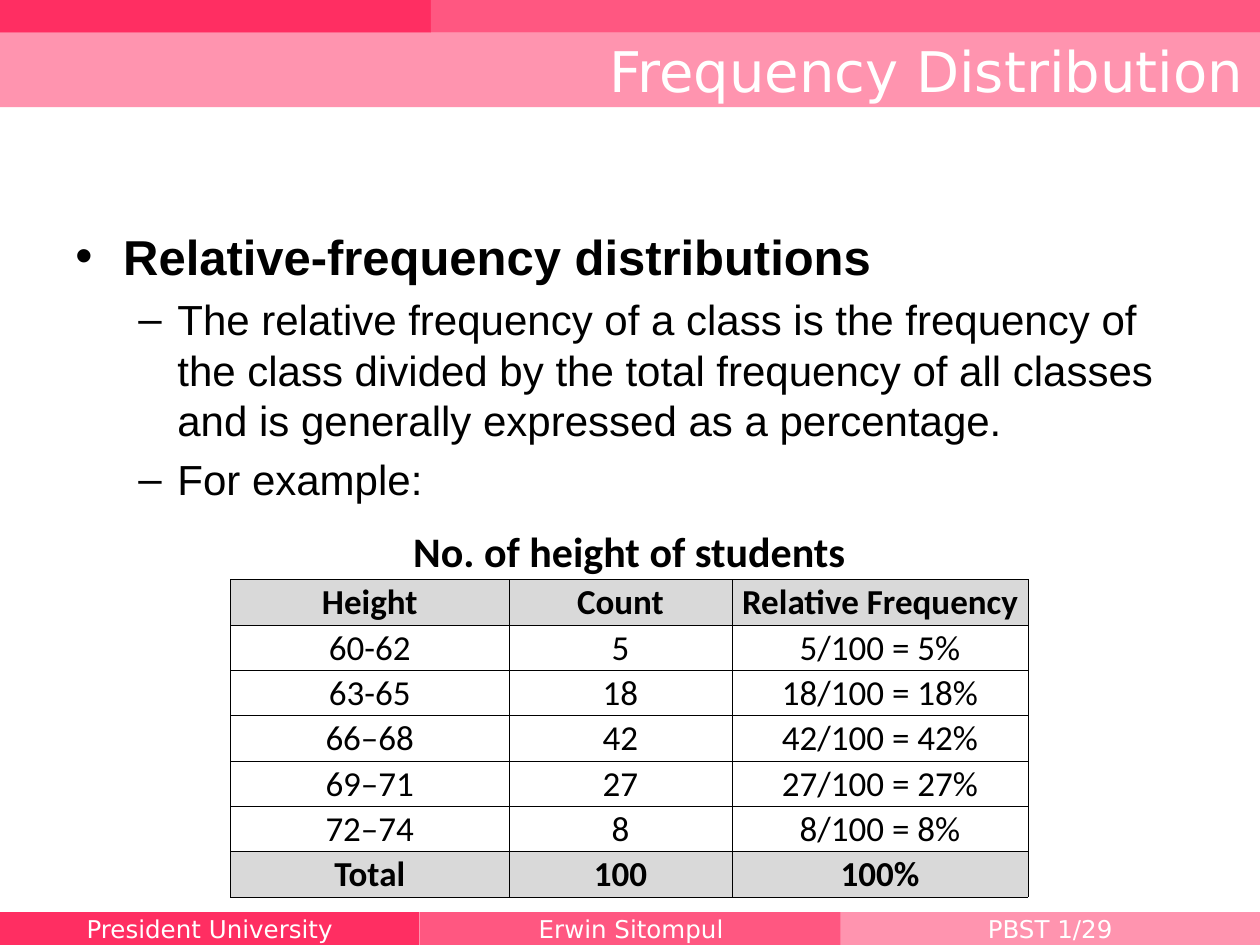
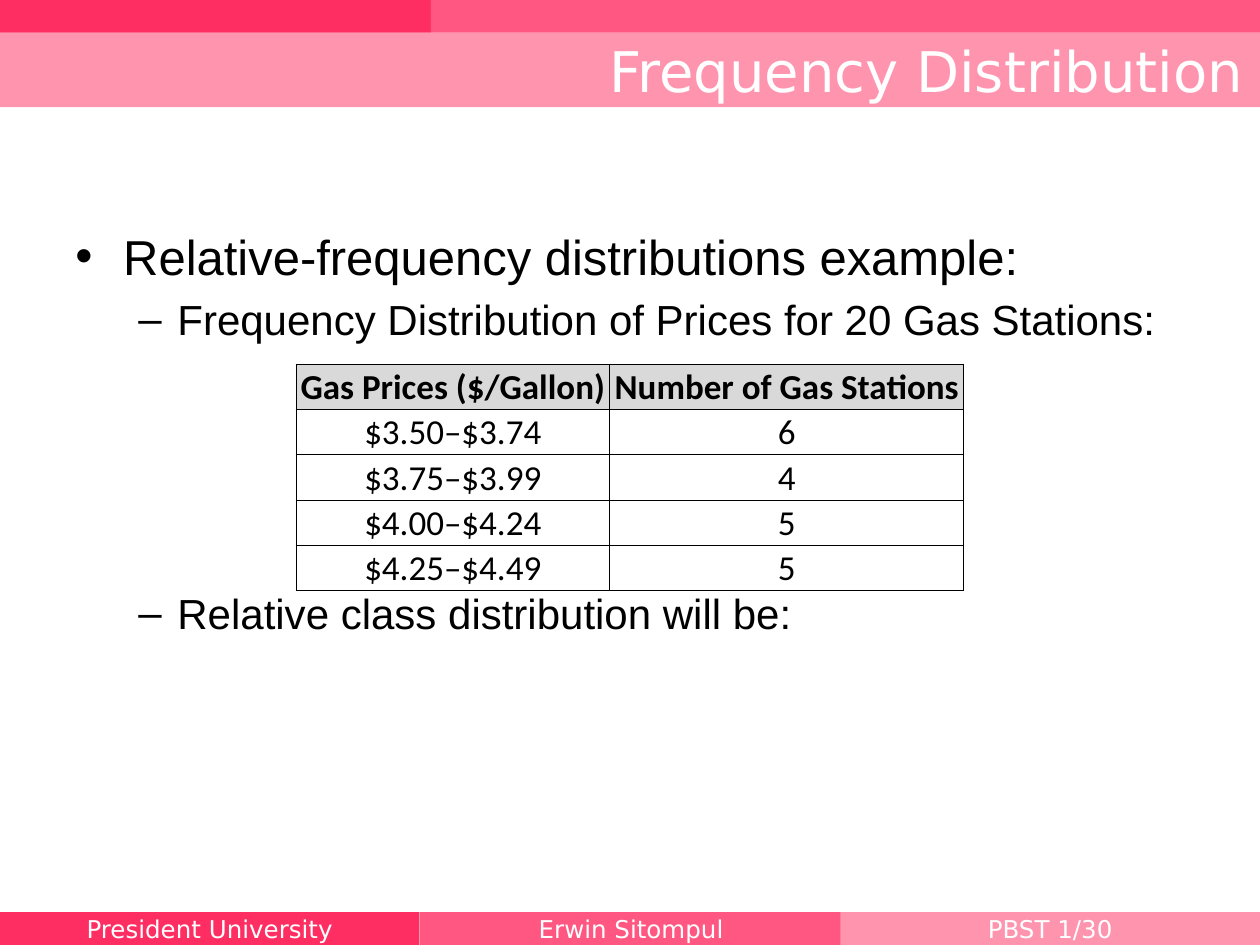
from dataclasses import dataclass

import pptx
import pptx.util
import pptx.dml.color
import pptx.enum.shapes
import pptx.enum.text
from lxml import etree
from pptx.oxml.ns import qn

Inches = pptx.util.Inches
Pt = pptx.util.Pt
Align = pptx.enum.text.PP_ALIGN
Anchor = pptx.enum.text.MSO_ANCHOR


@dataclass(frozen=True)
class Theme:
    dark: str = "FF2E62"
    mid: str = "FF5781"
    light: str = "FF94AF"
    white: str = "FFFFFF"
    black: str = "000000"
    grey: str = "D9D9D9"
    brand: str = "DejaVu Sans"
    body: str = "Arial"
    grid: str = "Calibri"
    title: int = 32
    head: int = 28
    text: int = 24
    cell: int = 20
    foot: int = 14
    edge: float = 0.5


@dataclass(frozen=True)
class Band:
    left: float
    top: float
    width: float
    height: float
    fill: str
    label: str = ""


@dataclass(frozen=True)
class Point:
    text: str
    level: int = 1
    bold: bool = False
    skip: int = 0  # lines left free above


@dataclass(frozen=True)
class Grid:
    left: float
    top: float
    widths: tuple[float, ...]
    rows: tuple[tuple[str, ...], ...]
    title: str = ""
    total: bool = False


@dataclass(frozen=True)
class Page:
    number: int
    points: tuple[Point, ...]
    grid: Grid


THEME = Theme()
HEADING = "Frequency Distribution"
ROW, CAPTION = 0.36, 0.43

# Bands shared by every slide
BANDS = (
    Band(0, 0.26, 10, 0.59, THEME.light),
    Band(0, 0, 3.42, 0.26, THEME.dark),
    Band(3.42, 0, 6.58, 0.26, THEME.mid),
    Band(0, 7.24, 3.33, 0.26, THEME.dark, "President University"),
    Band(3.33, 7.24, 3.36, 0.26, THEME.mid, "Erwin Sitompul"),
    Band(6.67, 7.24, 3.33, 0.26, THEME.light, "PBST 1/{}"),
)

# Bullet sign, text indent, hang and size for each level
LEVELS = (("•", 0.38, 0.38, THEME.head), ("–", 0.81, 0.31, THEME.text))

COUNTS = {"60-62": 5, "63-65": 18, "66–68": 42, "69–71": 27, "72–74": 8}
TOTAL = sum(COUNTS.values())

PAGES = (
    Page(29, (
        Point("Relative-frequency distributions", 0, bold=True),
        Point("The relative frequency of a class is the frequency of the class "
              "divided by the total frequency of all classes and is generally "
              "expressed as a percentage."),
        Point("For example:"),
    ), Grid(1.83, 4.17, (2.21, 1.77, 2.35), (
        ("Height", "Count", "Relative Frequency"),
        *((span, str(n), f"{n}/{TOTAL} = {n / TOTAL:.0%}") for span, n in COUNTS.items()),
        ("Total", str(TOTAL), "100%"),
    ), title="No. of height of students", total=True)),
    Page(30, (
        Point("Relative-frequency distributions example:", 0),
        Point("Frequency Distribution of Prices for 20 Gas Stations:"),
        Point("Relative class distribution will be:", skip=4),
    ), Grid(2.35, 2.89, (2.49, 2.81), (
        ("Gas Prices ($/Gallon)", "Number of Gas Stations"),
        ("$3.50–$3.74", "6"),
        ("$3.75–$3.99", "4"),
        ("$4.00–$4.24", "5"),
        ("$4.25–$4.49", "5"),
    ))),
)


def paint(code: str) -> pptx.dml.color.RGBColor:
    return pptx.dml.color.RGBColor.from_string(code)


def write(para, text: str, *, font: str, size: int, color: str = THEME.black,
          bold: bool = False, align=Align.LEFT) -> None:
    para.alignment = align
    run = para.add_run()
    run.text = text
    run.font.name = font
    run.font.size = Pt(size)
    run.font.bold = bold
    run.font.color.rgb = paint(color)


def draw_band(slide, band: Band, number: int) -> None:
    shape = slide.shapes.add_shape(
        pptx.enum.shapes.MSO_SHAPE.RECTANGLE, Inches(band.left), Inches(band.top),
        Inches(band.width), Inches(band.height))
    shape.shadow.inherit = False
    shape.fill.solid()
    shape.fill.fore_color.rgb = paint(band.fill)
    shape.line.fill.background()
    if band.label:
        frame = shape.text_frame
        frame.word_wrap = False
        frame.vertical_anchor = Anchor.MIDDLE
        write(frame.paragraphs[0], band.label.format(number), font=THEME.brand,
              size=THEME.foot, color=THEME.white, align=Align.CENTER)


def add_box(slide, left: float, top: float, width: float, height: float):
    frame = slide.shapes.add_textbox(
        Inches(left), Inches(top), Inches(width), Inches(height)).text_frame
    frame.word_wrap = True
    return frame


def draw_points(slide, points: tuple[Point, ...]) -> None:
    frame = add_box(slide, 0.5, 1.75, 9, 4.95)
    for i, point in enumerate(points):
        para = frame.add_paragraph() if i else frame.paragraphs[0]
        sign, indent, hang, size = LEVELS[point.level]
        props = para._p.get_or_add_pPr()
        props.set("marL", str(Inches(indent)))
        props.set("indent", str(-Inches(hang)))
        etree.SubElement(props, qn("a:buFont"), typeface=THEME.body)
        etree.SubElement(props, qn("a:buChar"), char=sign)
        # Lines are 1.2 times the type size, gaps 0.2 times
        line, gap = 1.2 * size, 0.2 * size
        para.line_spacing = Pt(line)
        para.space_before = Pt(gap + point.skip * (line + gap)) if i else Pt(0)
        write(para, point.text, font=THEME.body, size=size, bold=point.bold)


def set_edges(cell, shown: str) -> None:
    props = cell._tc.get_or_add_tcPr()
    for side in "LRTB":
        line = etree.SubElement(props, qn(f"a:ln{side}"), w=str(Pt(THEME.edge)))
        if side in shown:
            fill = etree.SubElement(line, qn("a:solidFill"))
            etree.SubElement(fill, qn("a:srgbClr"), val=THEME.black)
        else:
            etree.SubElement(line, qn("a:noFill"))


def fill_cell(cell, text: str, *, size: int = THEME.cell, bold: bool = False,
              shade: bool = False, edges: str = "LRTB") -> None:
    set_edges(cell, edges)
    if shade:
        cell.fill.solid()
        cell.fill.fore_color.rgb = paint(THEME.grey)
    else:
        cell.fill.background()
    cell.margin_left = cell.margin_right = cell.margin_top = Inches(0.01)
    cell.margin_bottom = 0
    cell.vertical_anchor = Anchor.MIDDLE
    if text:
        write(cell.text_frame.paragraphs[0], text, font=THEME.grid, size=size,
              bold=bold, align=Align.CENTER)


def draw_grid(slide, grid: Grid) -> None:
    first = 1 if grid.title else 0
    heights = [CAPTION] * first + [ROW] * len(grid.rows)
    table = slide.shapes.add_table(
        len(heights), len(grid.widths), Inches(grid.left), Inches(grid.top),
        Inches(sum(grid.widths)), Inches(sum(heights))).table
    table.first_row = table.horz_banding = False
    for column, width in zip(table.columns, grid.widths):
        column.width = Inches(width)
    for row, height in zip(table.rows, heights):
        row.height = Inches(height)
    # Caption row across all columns
    if grid.title:
        for c in range(len(grid.widths)):
            fill_cell(table.cell(0, c), "" if c else grid.title, size=THEME.text,
                      bold=True, edges="B")
        table.cell(0, 0).merge(table.cell(0, len(grid.widths) - 1))
    # Header, values and total
    for r, row in enumerate(grid.rows):
        strong = r == 0 or (grid.total and r == len(grid.rows) - 1)
        for c, text in enumerate(row):
            fill_cell(table.cell(r + first, c), text, bold=strong, shade=strong)


def draw_page(deck, page: Page) -> None:
    slide = deck.slides.add_slide(deck.slide_layouts[6])
    for band in BANDS:
        draw_band(slide, band, page.number)
    frame = add_box(slide, 0, 0.31, 9.97, 0.49)
    frame.vertical_anchor = Anchor.MIDDLE
    write(frame.paragraphs[0], HEADING, font=THEME.brand, size=THEME.title,
          color=THEME.white, align=Align.RIGHT)
    draw_points(slide, page.points)
    draw_grid(slide, page.grid)


def main() -> None:
    deck = pptx.Presentation()
    deck.slide_width = Inches(10)
    deck.slide_height = Inches(7.5)
    for page in PAGES:
        draw_page(deck, page)
    deck.save("out.pptx")


if __name__ == "__main__":
    main()
